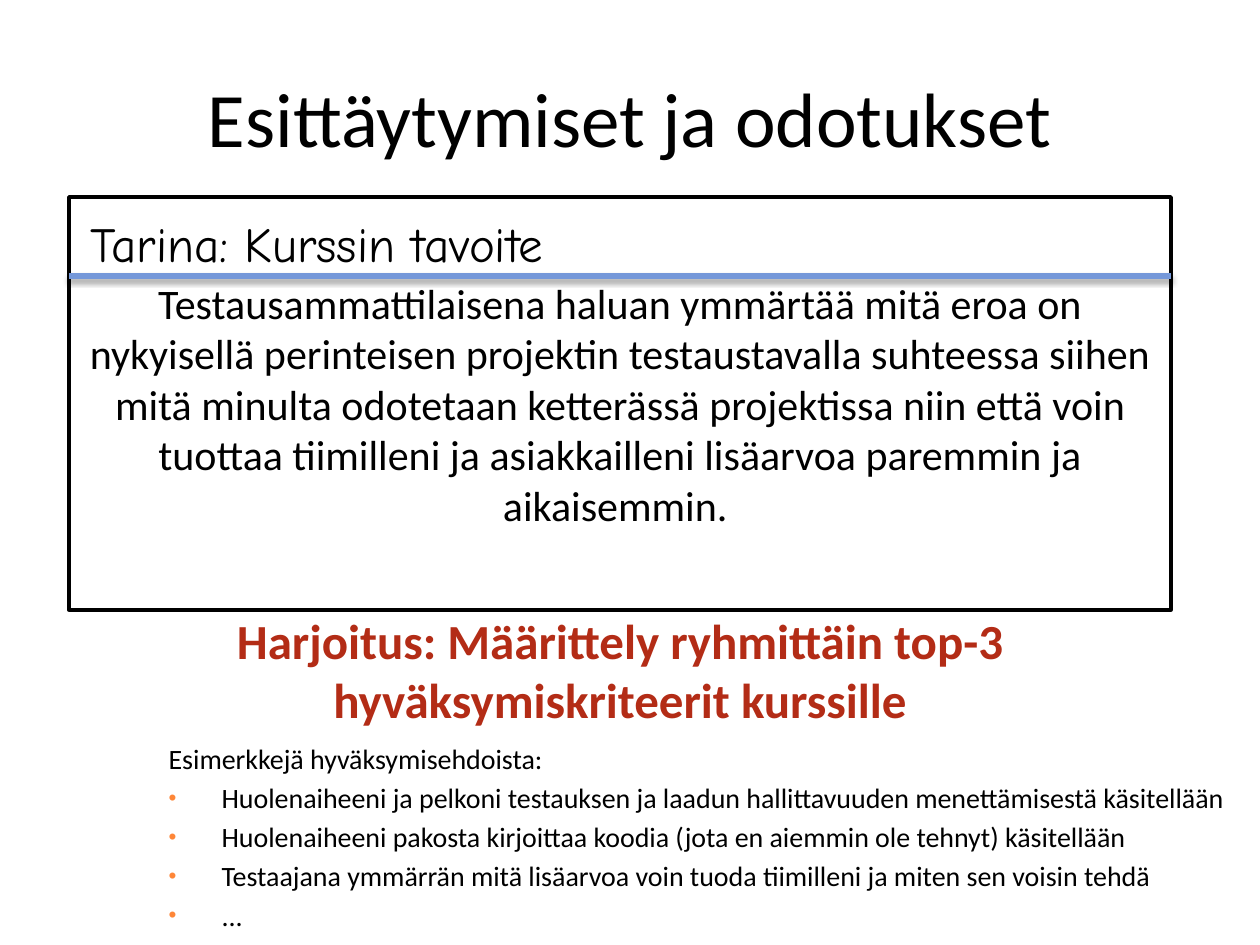
from dataclasses import dataclass

from lxml.etree import SubElement
from pptx import Presentation
from pptx.dml.color import RGBColor
from pptx.enum.shapes import MSO_CONNECTOR, MSO_SHAPE
from pptx.enum.text import MSO_ANCHOR, MSO_AUTO_SIZE, PP_ALIGN
from pptx.oxml.ns import qn
from pptx.util import Emu, Pt

PX_PER_INCH = 126


@dataclass(frozen=True)
class Theme:
    text: str = "000000"
    paper: str = "FFFFFF"
    rule: str = "7598D9"
    exercise: str = "B32C16"
    bullet: str = "FE8637"
    body_font: str = "Calibri"
    story_font: str = "Comic Neue"
    title_size: int = 44
    heading_size: int = 28
    story_size: int = 24
    list_size: int = 16


THEME = Theme()
STORY = (
    "Testausammattilaisena haluan ymmärtää mitä eroa on nykyisellä perinteisen "
    "projektin testaustavalla suhteessa siihen mitä minulta odotetaan ketterässä "
    "projektissa niin että voin tuottaa tiimilleni ja asiakkailleni lisäarvoa "
    "paremmin ja aikaisemmin. "
)
CRITERIA = [
    "Huolenaiheeni ja pelkoni testauksen ja laadun hallittavuuden menettämisestä käsitellään",
    "Huolenaiheeni pakosta kirjoittaa koodia (jota en aiemmin ole tehnyt) käsitellään",
    "Testaajana ymmärrän mitä lisäarvoa voin tuoda tiimilleni ja miten sen voisin tehdä",
    "...",
]


def px(length):
    return Emu(round(length * 914400 / PX_PER_INCH))


def color(value):
    return RGBColor.from_string(value)


def place(shape, box):
    shape.left, shape.top, shape.width, shape.height = map(px, box)


def write(paragraph, text, size, font=THEME.body_font, ink=THEME.text,
          bold=False, align=PP_ALIGN.LEFT):
    paragraph.alignment = align
    run = paragraph.add_run()
    run.text = text
    run.font.name = font
    run.font.size = Pt(size)
    run.font.bold = bold
    run.font.color.rgb = color(ink)


def prepare_frame(shape, anchor):
    frame = shape.text_frame
    frame.word_wrap = True
    frame.auto_size = MSO_AUTO_SIZE.NONE
    frame.vertical_anchor = anchor
    return frame


def add_label(slide, box, text, **style):
    label = slide.shapes.add_textbox(*map(px, box))
    frame = prepare_frame(label, MSO_ANCHOR.TOP)
    write(frame.paragraphs[0], text, THEME.heading_size, **style)


def cast_shadow(connector):
    """Give the line a soft shadow that falls straight down."""
    effects = SubElement(connector._element.spPr, qn("a:effectLst"))
    shadow = SubElement(effects, qn("a:outerShdw"), blurRad=str(Pt(3.1)),
                        dist=str(Pt(1.8)), dir="5400000", rotWithShape="0")
    ink = SubElement(shadow, qn("a:srgbClr"), val=THEME.text)
    SubElement(ink, qn("a:alpha"), val="35000")


def hang_paragraph(paragraph, bulleted):
    """Set the hanging indent, with a coloured bullet or none."""
    properties = paragraph._p.get_or_add_pPr()
    properties.set("marL", str(px(62)))
    properties.set("indent", str(px(-53)))
    if not bulleted:
        SubElement(properties, qn("a:buNone"))
        return
    bullet_color = SubElement(properties, qn("a:buClr"))
    SubElement(bullet_color, qn("a:srgbClr"), val=THEME.bullet)
    SubElement(properties, qn("a:buSzPct"), val="80000")
    SubElement(properties, qn("a:buFont"), typeface="Arial")
    SubElement(properties, qn("a:buChar"), char="•")


def fill_title(slide, box):
    title = slide.shapes.title
    place(title, box)
    frame = prepare_frame(title, MSO_ANCHOR.MIDDLE)
    write(frame.paragraphs[0], "Esittäytymiset ja odotukset", THEME.title_size,
          align=PP_ALIGN.CENTER)


def add_story_card(slide, box):
    left, top, width, _ = box
    card = slide.shapes.add_shape(MSO_SHAPE.RECTANGLE, *map(px, box))
    card.shadow.inherit = False
    card.fill.solid()
    card.fill.fore_color.rgb = color(THEME.paper)
    card.line.color.rgb = color(THEME.text)
    card.line.width = Pt(2)
    frame = prepare_frame(card, MSO_ANCHOR.MIDDLE)
    write(frame.paragraphs[0], STORY, THEME.story_size, align=PP_ALIGN.CENTER)

    rule_y = top + 79
    rule = slide.shapes.add_connector(
        MSO_CONNECTOR.STRAIGHT, px(left), px(rule_y), px(left + width), px(rule_y))
    rule.line.color.rgb = color(THEME.rule)
    rule.line.width = Pt(3)
    cast_shadow(rule)

    add_label(slide, (left + 9, top + 10, 552, 72), "Tarina: Kurssin tavoite",
              font=THEME.story_font)


def fill_criteria(slide, box):
    body = slide.placeholders[1]
    place(body, box)
    frame = prepare_frame(body, MSO_ANCHOR.TOP)
    heading = frame.paragraphs[0]
    hang_paragraph(heading, bulleted=False)
    heading.space_before = Pt(0)
    write(heading, "Esimerkkejä hyväksymisehdoista:", THEME.list_size)
    for criterion in CRITERIA:
        paragraph = frame.add_paragraph()
        hang_paragraph(paragraph, bulleted=True)
        paragraph.space_before = Pt(THEME.list_size * 0.2)
        write(paragraph, criterion, THEME.list_size)


def main():
    presentation = Presentation()
    presentation.slide_width = px(1260)
    presentation.slide_height = px(945)
    slide = presentation.slides.add_slide(presentation.slide_layouts[1])
    fill_title(slide, (63, 38, 1134, 157))
    add_story_card(slide, (69, 197, 1102, 413))
    fill_criteria(slide, (147, 735, 1113, 171))
    add_label(slide, (69, 604, 1102, 131),
              "Harjoitus: Määrittely ryhmittäin top-3 hyväksymiskriteerit kurssille",
              ink=THEME.exercise, bold=True, align=PP_ALIGN.CENTER)
    presentation.save("out.pptx")


if __name__ == "__main__":
    main()
